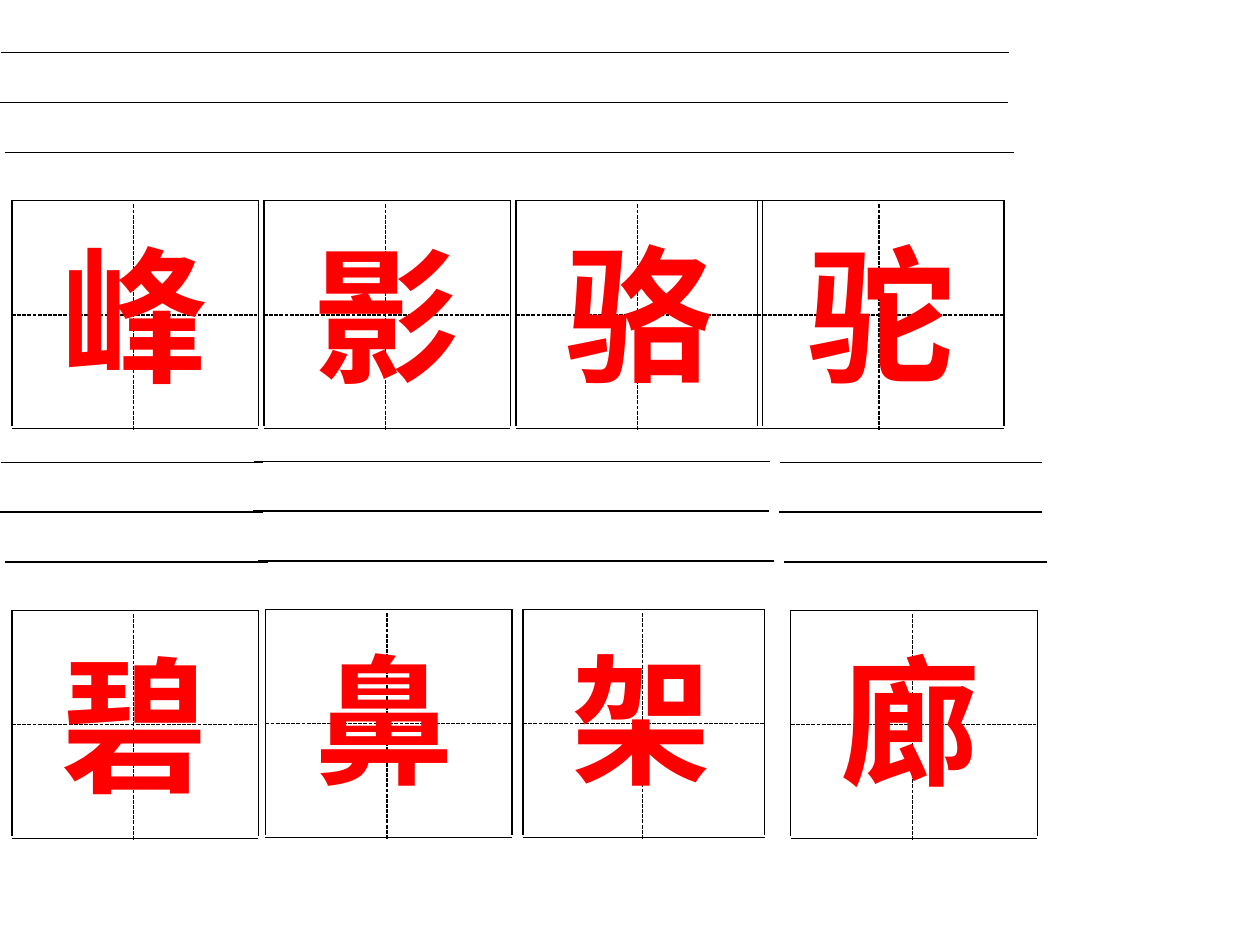
from lxml import etree
from pptx import Presentation
from pptx import util as u
from pptx.dml.color import RGBColor
from pptx.enum import dml, shapes, text
from pptx.oxml import ns

# Lines of one practice cell in cm: x1, y1, x2, y2
RULES = [(0.02, 1.06, 5.31, 1.06), (0, 2.06, 5.3, 2.06), (0.1, 3.07, 5.41, 3.07)]
FRAME = [(0.24, 4.04, 5.21, 4.04), (0.24, 8.64, 5.21, 8.64),
         (0.24, 4.04, 0.24, 8.59), (5.21, 4.04, 5.21, 8.59)]
CROSS = [(0.24, 6.35, 5.19, 6.35), (2.69, 4.12, 2.69, 8.67)]

# Character, left, top, font size, width scale
CELLS = [
    ("峰", 0, 0, 84, 1), ("影", 5.08, 0, 84, 1),
    ("骆", 10.16, 0, 84, 1), ("驼", 15.03, 0, 84, 1),
    ("碧", 0, 8.26, 84, 1), ("鼻", 5.11, 8.24, 80, 1),
    ("架", 10.31, 8.24, 80, 0.98), ("廊", 15.7, 8.26, 80, 1),
]


def color(code):
    return RGBColor.from_string(code)


class Sheet:
    font = "Times New Roman"
    ink = "000000"
    red = "FF0000"

    def __init__(self, slide):
        self.slide = slide

    def line(self, group, ends, dash=False):
        x1, y1, x2, y2 = (u.Cm(v) for v in ends)
        line = group.shapes.add_connector(
            shapes.MSO_CONNECTOR.STRAIGHT, x1, y1, x2, y2)
        line.line.color.rgb = color(self.ink)
        line.line.width = u.Pt(0.75)
        if dash:
            line.line.dash_style = dml.MSO_LINE.SQUARE_DOT
        etree.SubElement(line._element.spPr, ns.qn("a:effectLst"))

    def glyph(self, group, char, left, top, wide, high, size):
        box = group.shapes.add_textbox(
            u.Cm(left), u.Cm(top), u.Cm(wide), u.Cm(high))
        frame = box.text_frame
        frame.word_wrap = True
        frame.vertical_anchor = text.MSO_ANCHOR.MIDDLE
        frame.text = char
        font = frame.paragraphs[0].runs[0].font
        font.name = self.font
        font.size = u.Pt(size)
        font.bold = True
        font.color.rgb = color(self.red)

    def cell(self, char, left, top, size, scale):
        """Draw pinyin rules, a crossed frame and its character."""
        group = self.slide.shapes.add_group_shape()
        for ends in RULES + FRAME + CROSS:
            x1, y1, x2, y2 = ends
            self.line(group, (left + x1 * scale, top + y1,
                              left + x2 * scale, top + y2), ends in CROSS)
        high = 3.81 if size == 84 else 3.66
        self.glyph(group, char, left + 0.99 * scale, top + 4.4,
                   3.71 * scale, high, size)


def main():
    deck = Presentation()
    deck.slide_width, deck.slide_height = u.Cm(25.4), u.Cm(19.05)
    sheet = Sheet(deck.slides.add_slide(deck.slide_layouts[6]))
    for cell in CELLS:
        sheet.cell(*cell)
    deck.save("out.pptx")


if __name__ == "__main__":
    main()
